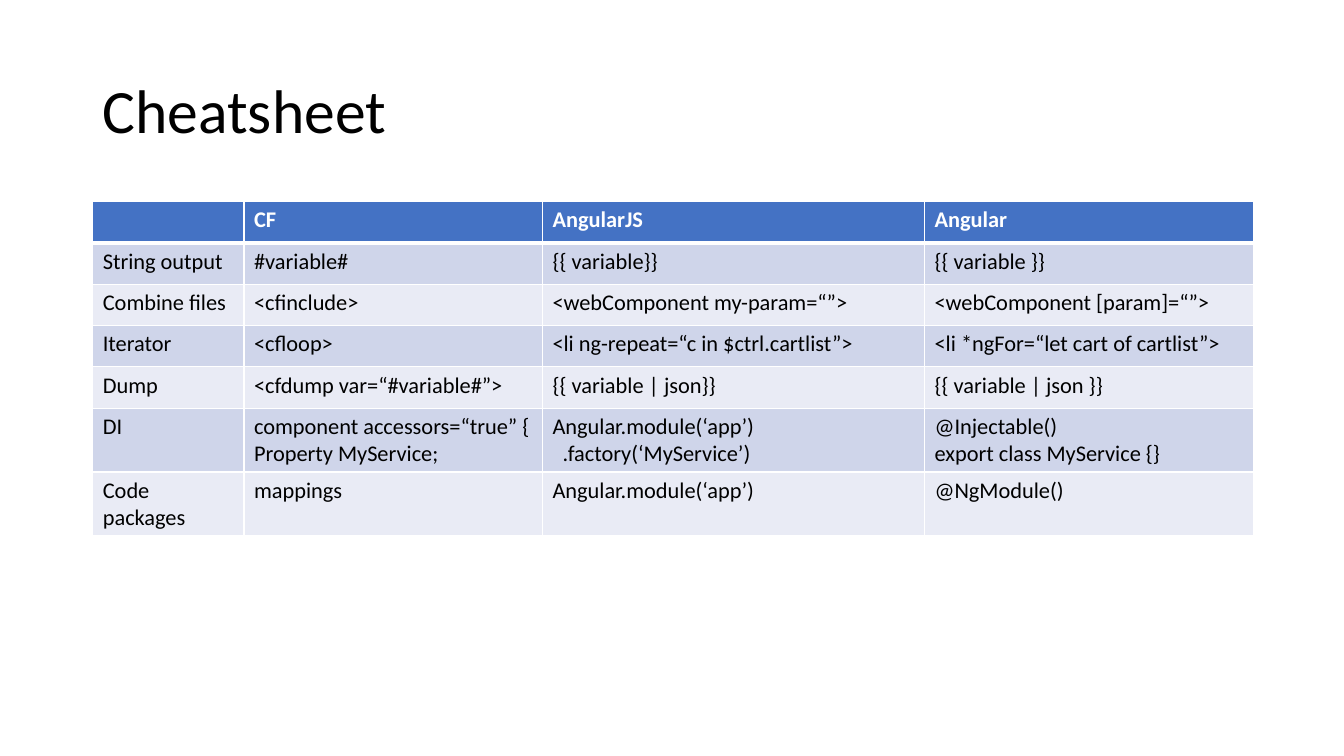
import pptx
import pptx.dml.color
import pptx.enum.text
import pptx.oxml
import pptx.oxml.ns
import pptx.util
from pptx.util import Inches

TITLE = "Cheatsheet"
ROWS = [
    ("", "CF", "AngularJS", "Angular"),
    ("String output", "#variable#", "{{ variable}}", "{{ variable }}"),
    ("Combine files", "<cfinclude>", "<webComponent my-param=“”>", "<webComponent [param]=“”>"),
    ("Iterator", "<cfloop>", "<li ng-repeat=“c in $ctrl.cartlist”>",
     "<li *ngFor=“let cart of cartlist”>"),
    ("Dump", "<cfdump var=“#variable#”>", "{{ variable | json}}", "{{ variable | json }}"),
    ("DI", "component accessors=“true” {\nProperty MyService;",
     "Angular.module(‘app’)\n\t.factory(‘MyService’)",
     "@Injectable()\vexport class MyService {}"),
    ("Code packages", "mappings", "Angular.module(‘app’)", "@NgModule()"),
]
COL_WIDTHS = (1.5, 2.96, 3.79, 3.26)
ROW_HEIGHT = 0.41
LEFT, WIDTH = 0.92, 11.5
HEADER, BANDS = "4472C4", ("E9EBF5", "CFD5EA")
WHITE, BLACK = "FFFFFF", "000000"
FONT = "Calibri"


def rgb(value):
    return pptx.dml.color.RGBColor.from_string(value)


def add_run(p, text, size, color, bold=False):
    r = p.add_run()
    r.text = text
    r.font.name = FONT
    r.font.size = pptx.util.Pt(size)
    r.font.bold = bold
    r.font.color.rgb = rgb(color)


def write_cell(cell, text, color, bold):
    tf = cell.text_frame
    for i, para in enumerate(text.split("\n")):
        p = tf.paragraphs[0] if i == 0 else tf.add_paragraph()
        if para.startswith("\t"):
            p._p.get_or_add_pPr().set("marL", str(Inches(0.1)))
        for j, line in enumerate(para.strip("\t").split("\v")):
            if j:
                p.add_line_break()
            if line:
                add_run(p, line, 16, color, bold)


def set_borders(cell, widths):
    tc_pr = cell._tc.get_or_add_tcPr()
    for i, (side, width) in enumerate(widths.items()):
        ln = pptx.oxml.parse_xml(
            f'<a:{side} {pptx.oxml.ns.nsdecls("a")} w="{pptx.util.Pt(width)}">'
            f'<a:solidFill><a:srgbClr val="{WHITE}"/></a:solidFill></a:{side}>')
        tc_pr.insert(i, ln)


def add_title(slide):
    sp = slide.shapes.add_textbox(Inches(LEFT), Inches(0.4), Inches(WIDTH), Inches(1.45))
    tf = sp.text_frame
    tf.word_wrap = True
    tf.vertical_anchor = pptx.enum.text.MSO_ANCHOR.MIDDLE
    p = tf.paragraphs[0]
    p.line_spacing = 0.9
    add_run(p, TITLE, 44, BLACK)


def add_cheatsheet(slide):
    table = slide.shapes.add_table(
        len(ROWS), len(COL_WIDTHS), Inches(LEFT), Inches(2),
        Inches(WIDTH), Inches(ROW_HEIGHT * len(ROWS))).table
    for col, width in zip(table.columns, COL_WIDTHS):
        col.width = Inches(width)
    for i, texts in enumerate(ROWS):
        table.rows[i].height = Inches(ROW_HEIGHT)
        is_header = i == 0
        borders = {"lnL": 1, "lnR": 1, "lnT": 3 if i == 1 else 1, "lnB": 3 if is_header else 1}
        for j, text in enumerate(texts):
            cell = table.cell(i, j)
            cell.fill.solid()
            cell.fill.fore_color.rgb = rgb(HEADER if is_header else BANDS[i % 2])
            set_borders(cell, borders)
            write_cell(cell, text, WHITE if is_header else BLACK, is_header)


def main():
    """Build the cheatsheet slide and save it."""
    prs = pptx.Presentation()
    prs.slide_width, prs.slide_height = Inches(13.33), Inches(7.5)
    slide = prs.slides.add_slide(prs.slide_layouts[6])
    add_title(slide)
    add_cheatsheet(slide)
    prs.save("out.pptx")


if __name__ == "__main__":
    main()
